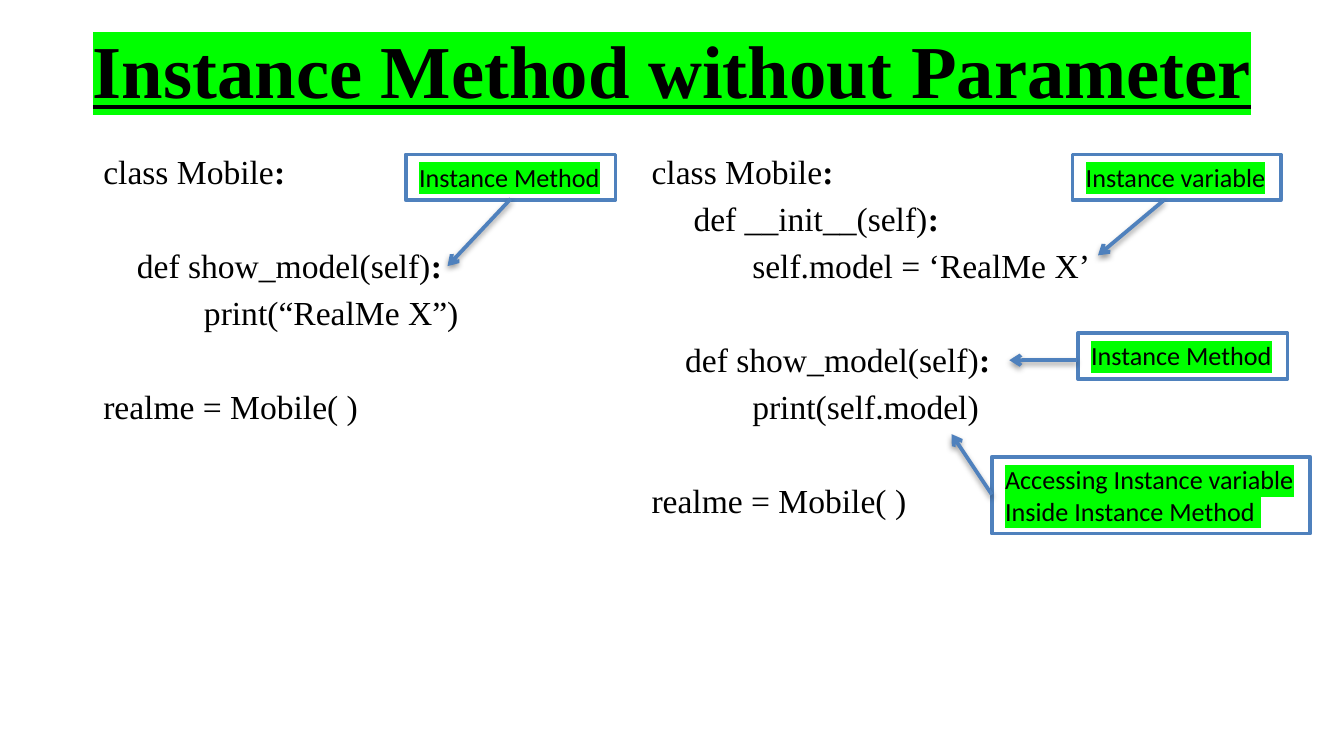
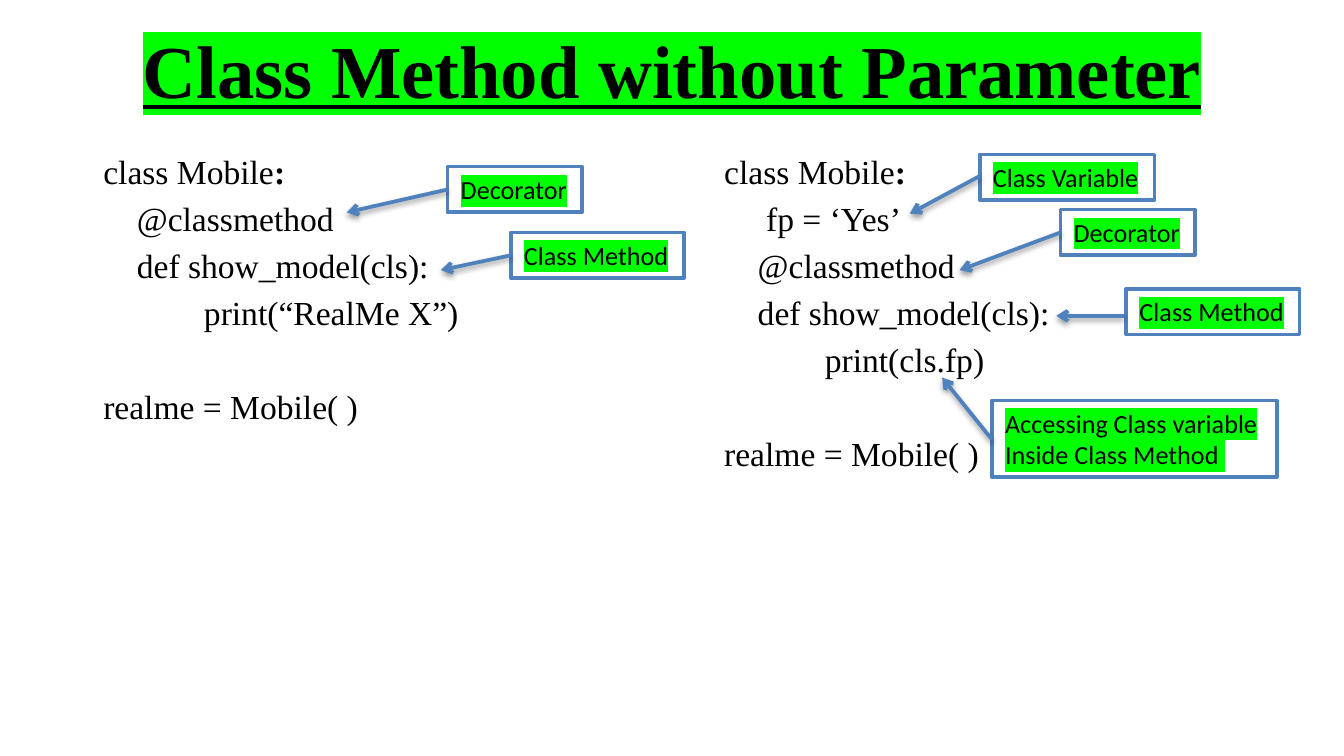
from dataclasses import dataclass

from lxml.etree import SubElement
from pptx import Presentation
from pptx.dml.color import RGBColor
from pptx.enum.shapes import MSO_CONNECTOR, MSO_SHAPE
from pptx.enum.text import MSO_ANCHOR, MSO_AUTO_SIZE, PP_ALIGN
from pptx.oxml import parse_xml
from pptx.oxml.ns import nsdecls, qn
from pptx.util import Inches, Pt


@dataclass(frozen=True)
class Theme:
    text: RGBColor = RGBColor(0x00, 0x00, 0x00)
    paper: RGBColor = RGBColor(0xFF, 0xFF, 0xFF)
    accent: RGBColor = RGBColor(0x4F, 0x81, 0xBD)
    highlight: str = "00FF00"
    serif: str = "Times New Roman"
    sans: str = "Calibri"
    title_size: float = 40
    code_size: float = 18
    label_size: float = 14
    line_width: float = 2
    code_gap: float = 3.6
    code_pitch: float = 25.2


class Deck:
    def __init__(self, theme):
        self.theme = theme
        self.prs = Presentation()
        self.prs.slide_width = Inches(10)
        self.prs.slide_height = Inches(10 * 9 / 16)
        self.s = None

    def add_slide(self, title):
        self.s = self.prs.slides.add_slide(self.prs.slide_layouts[6])
        tf = self.text_frame(0.5, 0.04, 9, 0.94)
        tf.vertical_anchor = MSO_ANCHOR.MIDDLE
        p = tf.paragraphs[0]
        p.alignment = PP_ALIGN.CENTER
        self.style(p, self.theme.serif, self.theme.title_size)
        p.font.bold = True
        p.font.underline = True
        self.highlighted(p, title)

    def text_frame(self, x, y, w, h):
        sp = self.s.shapes.add_textbox(Inches(x), Inches(y), Inches(w), Inches(h))
        sp.text_frame.word_wrap = True
        return sp.text_frame

    def style(self, p, name, size):
        p.font.name = name
        p.font.size = Pt(size)
        p.font.color.rgb = self.theme.text

    def highlighted(self, p, text):
        r = p.add_run()
        r.text = text
        mark = SubElement(r.font._element, qn("a:highlight"))
        SubElement(mark, qn("a:srgbClr"), val=self.theme.highlight)

    def code(self, x, w, lines):
        tf = self.text_frame(x, 1.06, w, 3.71)
        tf.margin_top = Inches(0.06)
        p, gap = tf.paragraphs[0], 0
        for line in lines:
            if not line:
                gap += self.theme.code_pitch
                continue
            if p.runs:
                p = tf.add_paragraph()
                p.space_before = Pt(gap)
            self.style(p, self.theme.serif, self.theme.code_size)
            plain, _, strong = line.partition("|")
            p.add_run().text = plain
            if strong:
                r = p.add_run()
                r.text = strong
                r.font.bold = True
            gap = self.theme.code_gap

    def label(self, x, y, w, lines):
        h = 0.11 + 0.23 * len(lines)
        sp = self.s.shapes.add_shape(
            MSO_SHAPE.RECTANGLE, Inches(x), Inches(y), Inches(w), Inches(h))
        sp.shadow.inherit = False
        sp.fill.solid()
        sp.fill.fore_color.rgb = self.theme.paper
        sp.line.color.rgb = self.theme.accent
        sp.line.width = Pt(self.theme.line_width)
        tf = sp.text_frame
        tf.word_wrap = False
        tf.auto_size = MSO_AUTO_SIZE.SHAPE_TO_FIT_TEXT
        tf.vertical_anchor = MSO_ANCHOR.TOP
        for i, line in enumerate(lines):
            p = tf.add_paragraph() if i else tf.paragraphs[0]
            p.alignment = PP_ALIGN.LEFT
            self.style(p, self.theme.sans, self.theme.label_size)
            self.highlighted(p, line)

    def arrow(self, start, tip):
        c = self.s.shapes.add_connector(
            MSO_CONNECTOR.STRAIGHT, *(Inches(v) for v in (*start, *tip)))
        c.line.color.rgb = self.theme.accent
        c.line.width = Pt(self.theme.line_width)
        SubElement(c.line._get_or_add_ln(), qn("a:tailEnd"), type="arrow")
        c._element.spPr.append(parse_xml(
            f'<a:effectLst {nsdecls("a")}>'
            f'<a:outerShdw blurRad="{Pt(3.1)}" dist="{Pt(1.6)}" dir="5400000" rotWithShape="0">'
            '<a:srgbClr val="000000"><a:alpha val="38000"/></a:srgbClr>'
            '</a:outerShdw></a:effectLst>'))

    def callout(self, box, lines, start, tip):
        self.label(*box, lines)
        self.arrow(start, tip)


SLIDES = [
    {
        "title": "Instance Method without Parameter",
        "code": [
            (4.75, 3.5, [
                "class Mobile|:",
                "     def __init__(self)|:",
                "            self.model = ‘RealMe X’",
                "",
                "    def show_model(self)|:",
                "            print(self.model)",
                "",
                "realme = Mobile( )",
            ]),
            (0.67, 3.75, [
                "class Mobile|:",
                "",
                "    def show_model(self)|:",
                "            print(“RealMe X”)",
                "",
                "realme = Mobile( )",
            ]),
        ],
        "callouts": [
            ((8.02, 2.48, 1.56), ["Instance Method"], (8.01, 2.68), (7.51, 2.68)),
            ((3.02, 1.15, 1.56), ["Instance Method"], (3.8, 1.48), (3.33, 1.98)),
            ((7.38, 3.4, 2.37), ["Accessing Instance variable", "Inside Instance Method "],
             (7.38, 3.68), (7.08, 3.23)),
            ((7.98, 1.15, 1.55), ["Instance variable"], (8.66, 1.49), (8.17, 1.9)),
        ],
    },
    {
        "title": "Class Method without Parameter",
        "code": [
            (5.29, 3.33, [
                "class Mobile|:",
                "     fp = ‘Yes’",
                "    @classmethod",
                "    def show_model(cls):",
                "            print(cls.fp)",
                "",
                "realme = Mobile( )",
            ]),
            (0.67, 3.75, [
                "class Mobile|:",
                "    @classmethod",
                "    def show_model(cls):",
                "            print(“RealMe X”)",
                "",
                "realme = Mobile( )",
            ]),
        ],
        "callouts": [
            ((8.38, 2.15, 1.29), ["Class Method"], (8.36, 2.35), (7.86, 2.35)),
            ((3.8, 1.73, 1.29), ["Class Method"], (3.8, 1.9), (3.28, 2.01)),
            ((7.29, 1.15, 1.3), ["Class Variable"], (7.29, 1.31), (6.77, 1.59)),
            ((3.33, 1.24, 1), ["Decorator"], (3.33, 1.41), (2.58, 1.58)),
            ((7.89, 1.56, 1), ["Decorator"], (7.89, 1.73), (7.14, 2.01)),
            ((7.38, 2.98, 2.12), ["Accessing Class variable", "Inside Class Method "],
             (7.38, 3.27), (7.01, 2.81)),
        ],
    },
]


def main():
    deck = Deck(Theme())
    for slide in SLIDES:
        deck.add_slide(slide["title"])
        for block in slide["code"]:
            deck.code(*block)
        for callout in slide["callouts"]:
            deck.callout(*callout)
    deck.prs.save("out.pptx")


if __name__ == "__main__":
    main()
